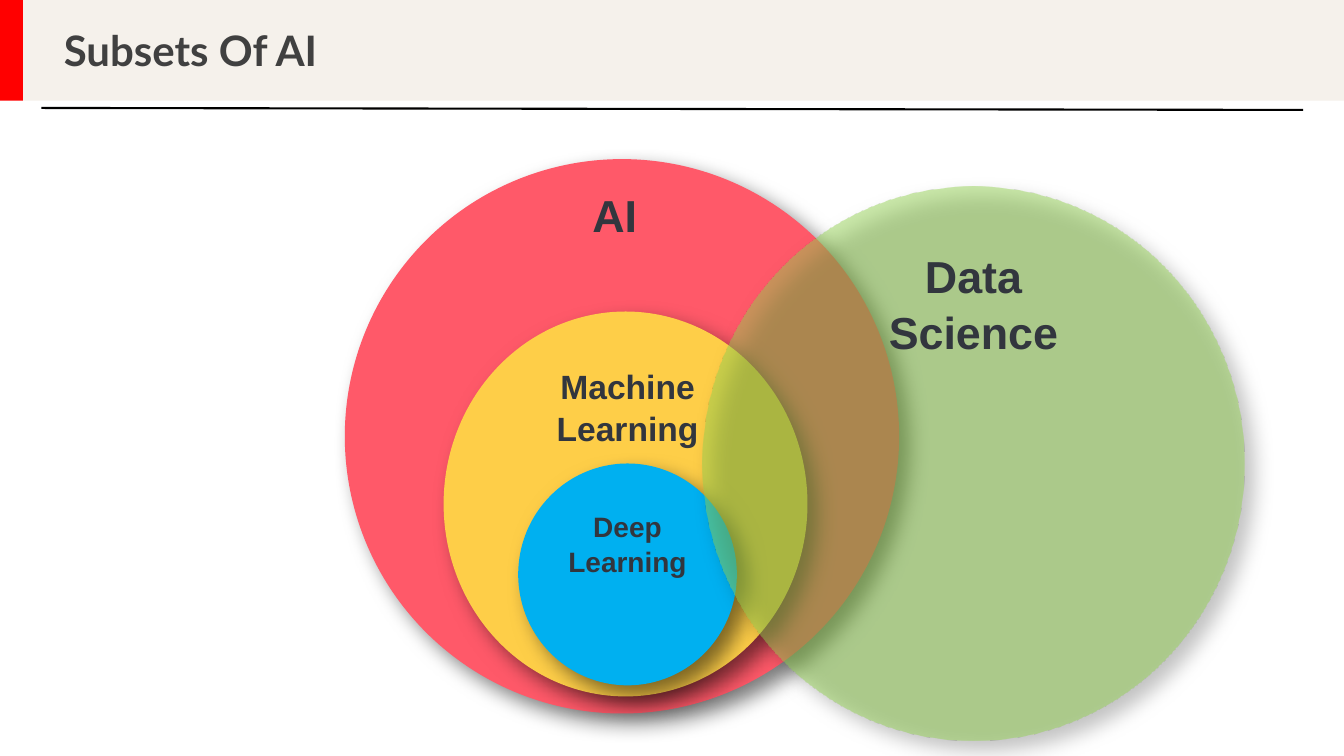
import pptx
import pptx.dml.color
import pptx.enum.shapes
import pptx.enum.text
import pptx.oxml
import pptx.oxml.ns
import pptx.util
from lxml import etree

Cm = pptx.util.Cm
Pt = pptx.util.Pt
SHAPES = pptx.enum.shapes.MSO_SHAPE
ALIGN = pptx.enum.text.PP_ALIGN
ANCHOR = pptx.enum.text.MSO_ANCHOR

WIDTH, HEIGHT = 33.87, 19.05
DARK = "32363E"

# name, circle box in cm, fill, then label: shift, drop, width, height in cm, size in pt
SUBSETS = [
    ("AI", (8.69, 4.01, 13.97, 13.97), "FF5969", (-0.18, 0.54, 6.81, 3.05), 32),
    ("Machine Learning", (11.18, 7.85, 9.17, 9.7), "FECE48", (0.05, 1.19, 4.42, 2.26), 24),
    ("Deep Learning", (13.06, 11.68, 5.51, 5.59), "00B0F0", (0, 0.99, 5, 1.8), 20),
    ("Data Science", (17.7, 4.7, 13.67, 13.97), None, (0, 1.37, 6.81, 3.05), 32),
]


def rgb(code):
    return pptx.dml.color.RGBColor.from_string(code)


def add_filled(slide, kind, box, color=None):
    """Add a borderless shape, filled when a colour is given."""
    shape = slide.shapes.add_shape(kind, *map(Cm, box))
    shape.shadow.inherit = False
    shape.line.fill.background()
    if color:
        shape.fill.solid()
        shape.fill.fore_color.rgb = rgb(color)
    return shape


def add_label(slide, box, text, size, color, font):
    """Add a one-run bold text box and return it."""
    label = slide.shapes.add_textbox(*map(Cm, box))
    label.text_frame.word_wrap = True
    run = label.text_frame.paragraphs[0].add_run()
    run.text = text
    run.font.name = font
    run.font.size = Pt(size)
    run.font.bold = True
    run.font.color.rgb = rgb(color)
    return label


def add_header(slide, left, top, width, height):
    accent = 0.58
    add_filled(slide, SHAPES.RECTANGLE, (left + accent, top, width - accent, height), "F5F1EB")
    title = add_label(slide, (left + 1.61, top + 0.08, 30.12, height - 0.08),
                      "Subsets Of AI", 30, "404040", "Lato")
    frame = title.text_frame
    frame.margin_left = frame.margin_top = frame.margin_right = frame.margin_bottom = 0
    frame.vertical_anchor = ANCHOR.MIDDLE
    frame.paragraphs[0].line_spacing = Pt(32.4)
    add_filled(slide, SHAPES.RECTANGLE, (left, top, accent, height), "FF0000")

    rule = slide.shapes.add_connector(
        pptx.enum.shapes.MSO_CONNECTOR.STRAIGHT,
        Cm(left + 1.04), Cm(top + height + 0.18), Cm(left + 32.84), Cm(top + height + 0.23))
    rule.line.color.rgb = rgb("000000")
    rule.line.width = Pt(1.5)
    etree.SubElement(rule._element.spPr, pptx.oxml.ns.qn("a:effectLst"))


def cast_shadow(shape):
    effects = shape._element.spPr.find(pptx.oxml.ns.qn("a:effectLst"))
    effects.append(pptx.oxml.parse_xml(
        f'<a:outerShdw {pptx.oxml.ns.nsdecls("a")} blurRad="{Pt(15)}" dist="{Pt(10)}" '
        'dir="2700000" algn="tl" rotWithShape="0"><a:srgbClr val="000000">'
        '<a:alpha val="50000"/></a:srgbClr></a:outerShdw>'))


def fill_translucent(shape, color):
    """Fill with a gradient whose visible part is 47 percent opaque."""
    shape.fill.gradient()
    gradient = shape._element.spPr.find(pptx.oxml.ns.qn("a:gradFill"))
    stops = gradient.find(pptx.oxml.ns.qn("a:gsLst"))
    gradient.replace(stops, pptx.oxml.parse_xml(
        f'<a:gsLst {pptx.oxml.ns.nsdecls("a")}>'
        f'<a:gs pos="100000"><a:srgbClr val="{color}"><a:alpha val="47000"/></a:srgbClr></a:gs>'
        f'<a:gs pos="100000"><a:srgbClr val="{color}"/></a:gs></a:gsLst>'))
    shape.fill.gradient_angle = 270


def add_subset(slide, name, box, color, label_place, size):
    left, top, width, _ = box
    circle = add_filled(slide, SHAPES.OVAL, box, color)
    if color is None:
        fill_translucent(circle, "92D050")
    cast_shadow(circle)

    shift, drop, label_width, label_height = label_place
    label_left = left + (width - label_width) / 2 + shift
    label = add_label(slide, (label_left, top + drop, label_width, label_height),
                      name, size, DARK, "Arial")
    paragraph = label.text_frame.paragraphs[0]
    paragraph.alignment = ALIGN.CENTER
    paragraph.line_spacing = 1.05


def main():
    deck = pptx.Presentation()
    deck.slide_width, deck.slide_height = Cm(WIDTH), Cm(HEIGHT)
    slide = deck.slides.add_slide(deck.slide_layouts[6])
    add_header(slide, 0, 0, WIDTH, 2.54)
    for subset in SUBSETS:
        add_subset(slide, *subset)
    deck.save("out.pptx")


if __name__ == "__main__":
    main()
